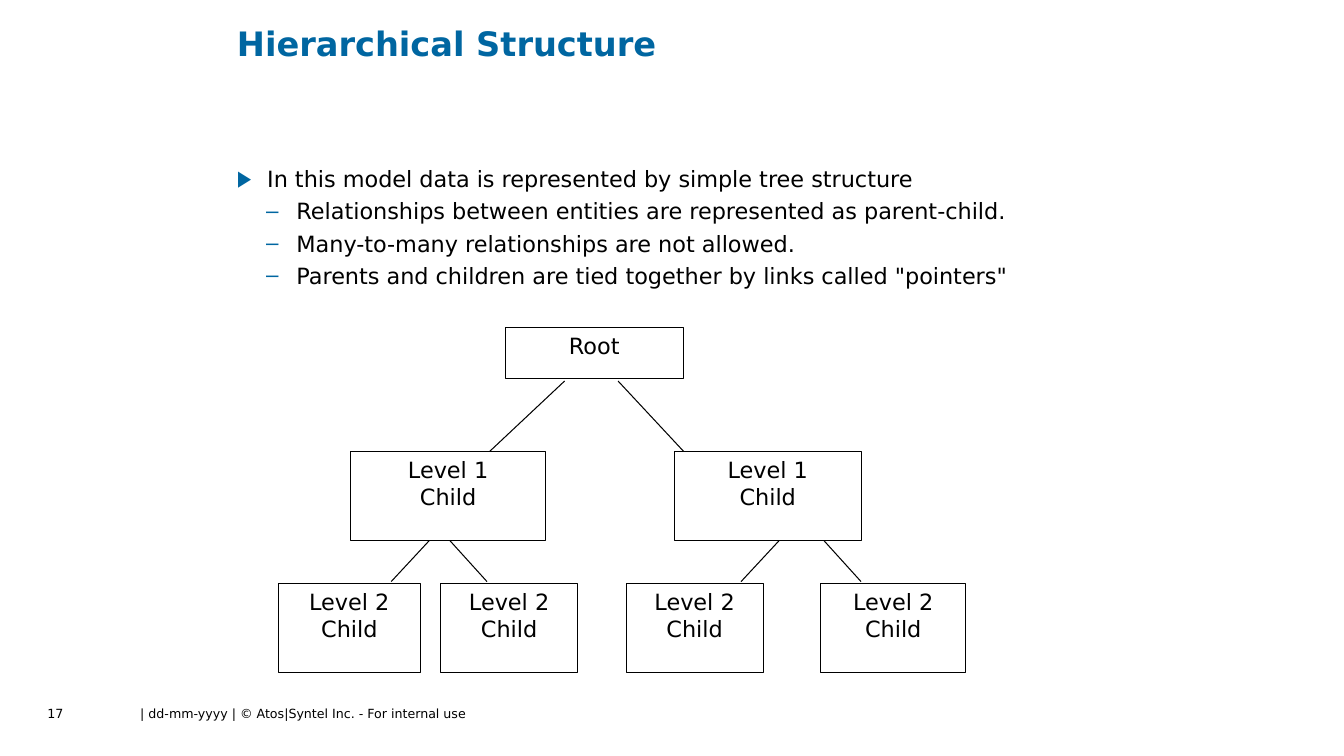
from dataclasses import dataclass
from lxml.etree import SubElement
from pptx import Presentation
from pptx.dml.color import RGBColor
from pptx.enum.shapes import MSO_CONNECTOR, MSO_SHAPE
from pptx.enum.text import MSO_ANCHOR, MSO_AUTO_SIZE, PP_ALIGN
from pptx.oxml.ns import qn
from pptx.util import Inches, Pt


@dataclass(frozen=True)
class Theme:
    font: str = "DejaVu Sans"
    blue: str = "0066A1"
    black: str = "000000"
    white: str = "FFFFFF"
    head: int = 24
    text: int = 16
    foot: int = 9
    line: float = 0.75


theme = Theme()
TITLE = "Hierarchical Structure"
POINTS = [
    (0, "In this model data is represented by simple tree structure"),
    (1, "Relationships between entities are represented as parent-child."),
    (1, "Many-to-many relationships are not allowed."),
    (1, 'Parents and children are tied together by links called "pointers"'),
]
MARKS = ["▶", "–"]
FOOT = [
    ("17", 0.47, 0.22, PP_ALIGN.LEFT),
    ("| dd-mm-yyyy | © Atos|Syntel Inc. - For internal use", 1.3, 3.41, PP_ALIGN.CENTER),
]
TREE = [
    (3.25, 0.51, ["Root"], [(5.01, 1.77)]),
    (4.48, 0.88, ["Level 1", "Child"], [(3.48, 1.93), (6.69, 1.85)]),
    (5.79, 0.88, ["Level 2", "Child"], [(2.76, 1.41), (4.37, 1.36), (6.21, 1.36), (8.14, 1.44)]),
]
LINKS = [(3.78, 4.56, [(5.6, 4.77)]),
         (3.78, 4.51, [(6.13, 6.81)]),
         (5.35, 5.77, [(4.27, 3.88), (4.45, 4.83), (7.74, 7.35), (8.16, 8.54)])]


def color(code):
    return RGBColor.from_string(code)


def write(par, text, size, ink=theme.black, bold=False):
    run = par.add_run()
    run.text = text
    run.font.name = theme.font
    run.font.size = Pt(size)
    run.font.bold = bold
    run.font.color.rgb = color(ink)


def place(shape, left, top, width, height):
    shape.left, shape.top = Inches(left), Inches(top)
    shape.width, shape.height = Inches(width), Inches(height)


def setup(frame, anchor=MSO_ANCHOR.TOP):
    frame.auto_size = MSO_AUTO_SIZE.NONE
    frame.vertical_anchor = anchor


def bullet(par, level):
    par.level = level
    props = par._p.get_or_add_pPr()
    props.set("marL", str(Inches([0.3, 0.59][level])))
    props.set("indent", str(Inches(-0.3)))
    tint = SubElement(props, qn("a:buClr"))
    SubElement(tint, qn("a:srgbClr")).set("val", theme.blue)
    SubElement(props, qn("a:buChar")).set("char", MARKS[level])
    par.space_before = Pt(3.8 * level)


def link(slide, start, end):
    line = slide.shapes.add_connector(MSO_CONNECTOR.STRAIGHT, *map(Inches, start + end))
    line.line.color.rgb = color(theme.black)
    line.line.width = Pt(theme.line)
    SubElement(line._element.spPr, qn("a:effectLst"))


def node(slide, left, top, width, height, lines):
    box = slide.shapes.add_shape(MSO_SHAPE.RECTANGLE, *map(Inches, (left, top, width, height)))
    box.shadow.inherit = False
    box.fill.solid()
    box.fill.fore_color.rgb = color(theme.white)
    box.line.color.rgb = color(theme.black)
    box.line.width = Pt(theme.line)
    frame = box.text_frame
    setup(frame)
    for i, text in enumerate(lines):
        par = frame.add_paragraph() if i else frame.paragraphs[0]
        par.alignment = PP_ALIGN.CENTER
        write(par, text, theme.text)


def main():
    deck = Presentation()
    deck.slide_width, deck.slide_height = Inches(13.33), Inches(7.5)
    slide = deck.slides.add_slide(deck.slide_layouts[1])

    title, body = slide.placeholders
    place(title, 2.25, 0.18, 9.06, 0.83)
    setup(title.text_frame)
    par = title.text_frame.paragraphs[0]
    par.alignment = PP_ALIGN.LEFT
    write(par, TITLE, theme.head, theme.blue, True)

    place(body, 2.25, 1.59, 9.06, 5.07)
    frame = body.text_frame
    setup(frame)
    for i, (level, text) in enumerate(POINTS):
        par = frame.add_paragraph() if i else frame.paragraphs[0]
        bullet(par, level)
        write(par, text, theme.text)

    for top, end, spans in LINKS:
        for x, to in spans:
            link(slide, (x, top), (to, end))
    for top, height, lines, spans in TREE:
        for left, width in spans:
            node(slide, left, top, width, height, lines)

    for text, left, width, align in FOOT:
        box = slide.shapes.add_textbox(*map(Inches, (left, 7, width, 0.15)))
        frame = box.text_frame
        setup(frame, MSO_ANCHOR.MIDDLE)
        frame.word_wrap = False
        frame.margin_left = frame.margin_right = 0
        frame.margin_top = frame.margin_bottom = 0
        par = frame.paragraphs[0]
        par.alignment = align
        write(par, text, theme.foot)

    deck.save("out.pptx")


if __name__ == "__main__":
    main()
